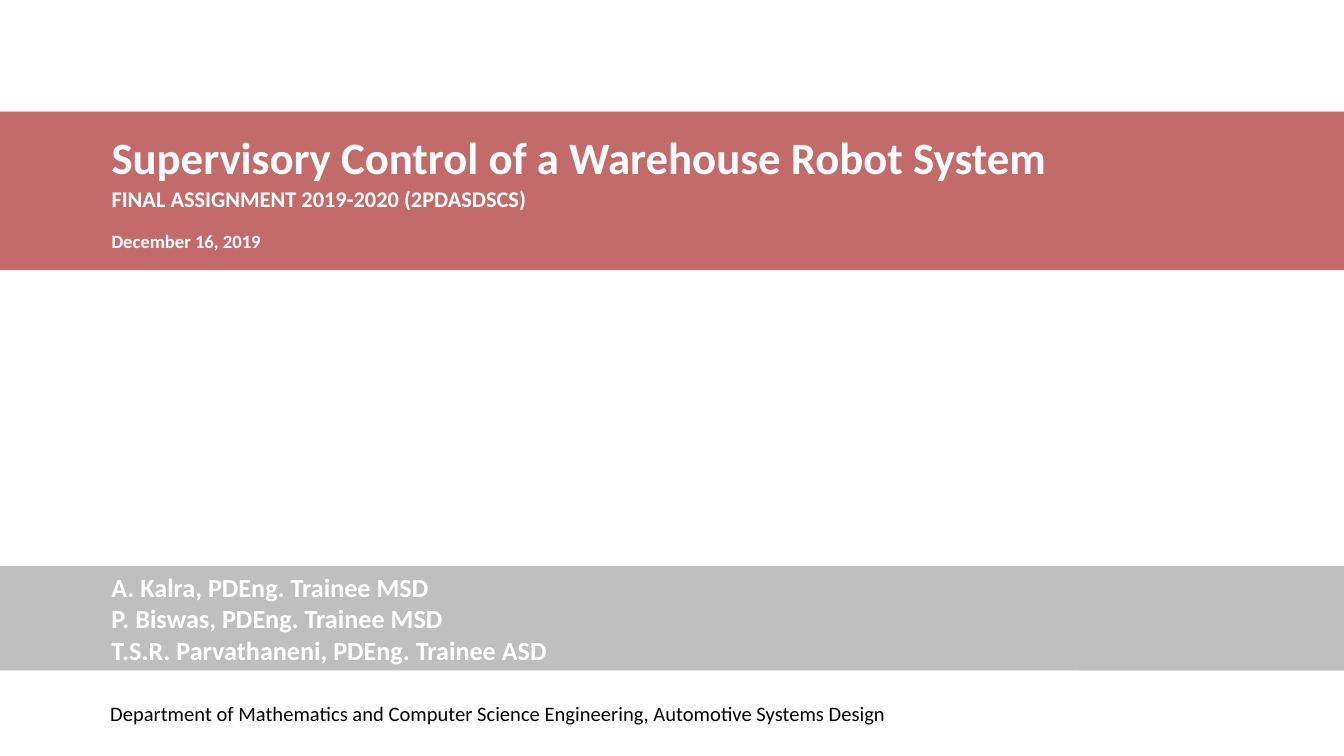
from pptx import Presentation
from pptx.dml.color import RGBColor
from pptx.enum.shapes import MSO_SHAPE as Shape
from pptx.enum.text import MSO_ANCHOR as Anchor, MSO_AUTO_SIZE as AutoSize, PP_ALIGN as Align
from pptx.oxml.ns import qn
from pptx.util import Inches, Pt
from lxml import etree

COLORS = {"red": "C81919", "black": "000000", "white": "FFFFFF"}
FONT = "Calibri"
WIDTH = 10
HEIGHT = WIDTH * 9 / 16
TEXT_LEFT = 0.83
TITLE_RIGHT = 2.15


class SlideBuilder:
    def __init__(self, slide):
        self.slide = slide

    def fill(self, shape, color, opacity):
        shape.fill.solid()
        shape.fill.fore_color.rgb = RGBColor.from_string(COLORS[color])
        if opacity < 100:
            color_element = shape.element.spPr.find(qn("a:solidFill"))[0]
            etree.SubElement(color_element, qn("a:alpha"), val=str(opacity * 1000))

    def band(self, box, color, opacity=100):
        shape = self.slide.shapes.add_shape(Shape.RECTANGLE, *map(Inches, box))
        shape.shadow.inherit = False
        shape.line.fill.background()
        self.fill(shape, color, opacity)
        return shape

    def placeholder(self, shape, box, color, opacity):
        shape.left, shape.top, shape.width, shape.height = map(Inches, box)
        self.fill(shape, color, opacity)
        return shape

    def text(self, shape, lines, size, color="white", bold=True,
             anchor=Anchor.MIDDLE, right=0, top=0):
        frame = shape.text_frame
        frame.text = "\n".join(lines)
        frame.word_wrap = True
        frame.auto_size = AutoSize.NONE
        frame.vertical_anchor = anchor
        frame.margin_left, frame.margin_right = Inches(TEXT_LEFT), Inches(right)
        frame.margin_top, frame.margin_bottom = Inches(top), 0
        for paragraph in frame.paragraphs:
            paragraph.alignment = Align.LEFT
            paragraph.space_before = Pt(0)
            font = paragraph.font
            font.name, font.size, font.bold = FONT, Pt(size), bold
            font.color.rgb = RGBColor.from_string(COLORS[color])


def main():
    presentation = Presentation()
    presentation.slide_width, presentation.slide_height = Inches(WIDTH), Inches(HEIGHT)
    slide = presentation.slides.add_slide(presentation.slide_layouts[0])
    builder = SlideBuilder(slide)

    # Grey backdrop, behind the title and the date
    backdrop = builder.band((0, 0.83, WIDTH, 1.18), "black", 25)
    slide.shapes.title.element.addprevious(backdrop.element)

    # Title with a smaller second line
    title = builder.placeholder(slide.shapes.title, (0, 0.83, WIDTH, 0.86), "red", 50)
    builder.text(title, ["Supervisory Control of a Warehouse Robot System"], 24,
                 right=TITLE_RIGHT)
    heading = title.text_frame.paragraphs[0]
    heading.line_spacing = 1.05
    heading.add_line_break()
    course = heading.add_run()
    course.text = "FINAL ASSIGNMENT 2019-2020 (2PDASDSCS)"
    course.font.size = Pt(12)

    # Date
    date = builder.placeholder(slide.placeholders[1], (0, 1.69, WIDTH, 0.32), "red", 50)
    builder.text(date, ["December 16, 2019"], 10, anchor=Anchor.TOP,
                 right=TITLE_RIGHT, top=0.02)

    # Authors
    authors = builder.band((0, 4.21, WIDTH, 0.78), "black", 25)
    builder.text(authors, ["A. Kalra, PDEng. Trainee MSD",
                           "P. Biswas, PDEng. Trainee MSD",
                           "T.S.R. Parvathaneni, PDEng. Trainee ASD"], 14)

    # Department
    department = builder.band((-0.01, 4.99, 8.04, 0.63), "white")
    builder.text(department, ["Department of Mathematics and Computer Science Engineering, "
                              "Automotive Systems Design"], 11, "black", bold=False)

    presentation.save("out.pptx")


if __name__ == "__main__":
    main()
